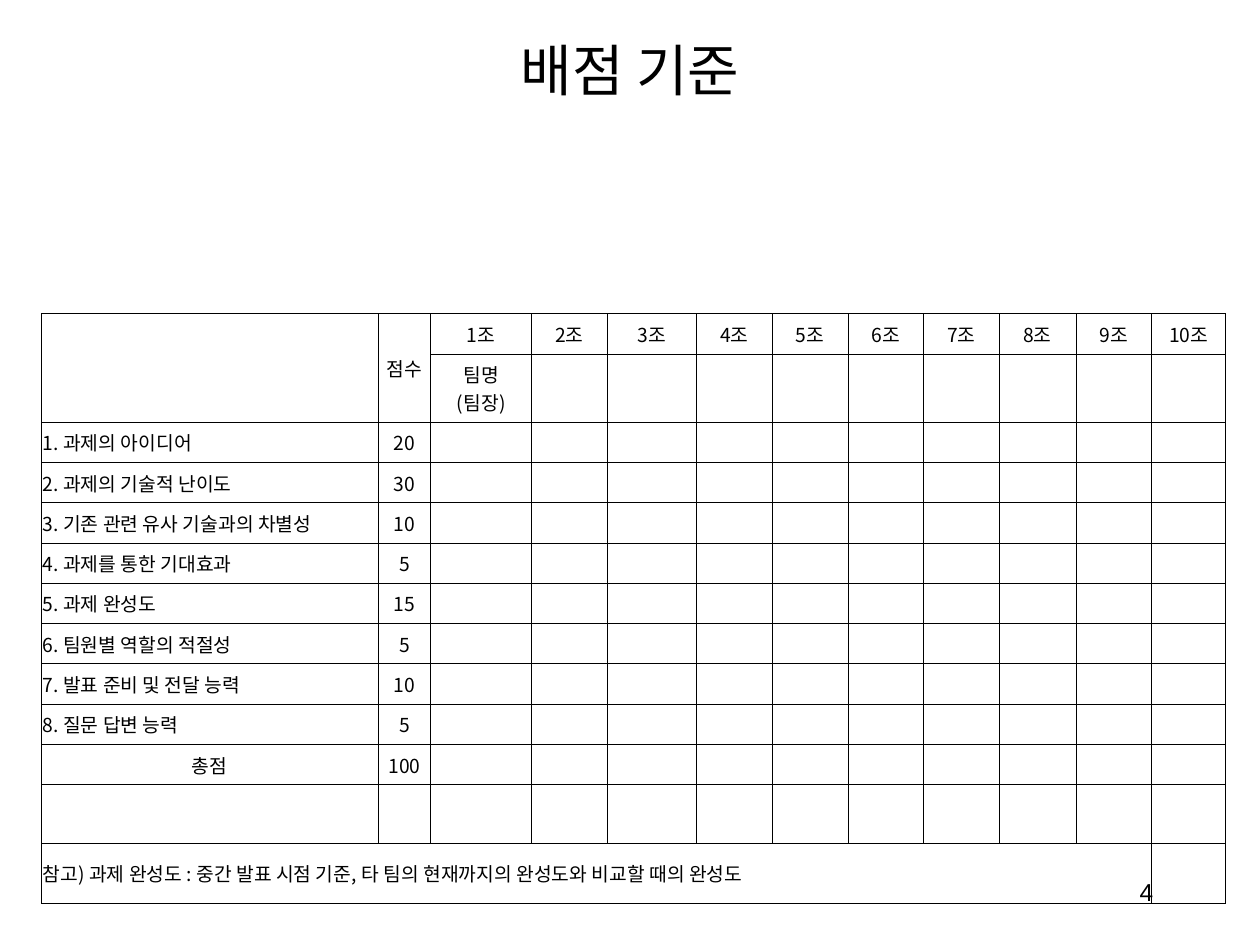
from dataclasses import dataclass

from lxml.etree import SubElement
from pptx import Presentation
from pptx.dml.color import RGBColor
from pptx.enum.text import MSO_ANCHOR as Anchor, PP_ALIGN as Align
from pptx.oxml.ns import qn
from pptx.util import Inches, Pt


@dataclass(frozen=True)
class Theme:
    """Colours, fonts and type sizes of the slide."""
    ink: str = "000000"
    korean: str = "Noto Sans CJK KR"
    latin: str = "Arial"
    title: int = 32
    number: int = 14
    body: int = 11
    rule: float = 0.45


THEME = Theme()
CRITERIA = [
    ("과제의 아이디어", 20),
    ("과제의 기술적 난이도", 30),
    ("기존 관련 유사 기술과의 차별성", 10),
    ("과제를 통한 기대효과", 5),
    ("과제 완성도", 15),
    ("팀원별 역할의 적절성", 5),
    ("발표 준비 및 전달 능력", 10),
    ("질문 답변 능력", 5),
]
NOTE = "참고) 과제 완성도 : 중간 발표 시점 기준, 타 팀의 현재까지의 완성도와 비교할 때의 완성도"
TEAMS = 10
COLUMN_WIDTHS = [2.67, 0.42, 0.8, 0.6, 0.71, 0.6, 0.6, 0.6, 0.6, 0.61, 0.6, 0.59]
ROW_HEIGHTS = [0.32, 0.54] + [0.32] * (len(CRITERIA) + 1) + [0.47] * 2


def write(frame, text, *, size=THEME.body, font=THEME.korean, align=Align.CENTER):
    """Put formatted text into a text frame."""
    paragraph = frame.paragraphs[0]
    paragraph.text = text
    paragraph.alignment = align
    for run in paragraph.runs:
        run.font.size = Pt(size)
        run.font.name = font
        run.font.color.rgb = RGBColor.from_string(THEME.ink)
        SubElement(run.font._element, qn("a:ea"), typeface=font)
    if not text:
        SubElement(paragraph._p, qn("a:endParaRPr"), sz=str(size * 100))


def add_label(slide, text, left, top, width, height, **style):
    """Add a text box centred vertically on its area."""
    box = slide.shapes.add_textbox(*map(Inches, (left, top, width, height)))
    box.text_frame.word_wrap = True
    box.text_frame.vertical_anchor = Anchor.MIDDLE
    write(box.text_frame, text, **style)


def rule_cell(cell):
    """Draw a thin line on all four sides of a cell and clear its fill."""
    properties = cell._tc.get_or_add_tcPr()
    for side in ("lnL", "lnR", "lnT", "lnB"):
        line = SubElement(properties, qn(f"a:{side}"), w=str(Pt(THEME.rule)))
        fill = SubElement(line, qn("a:solidFill"))
        SubElement(fill, qn("a:srgbClr"), val=THEME.ink)
    cell.fill.background()


def score_rows():
    """Return the texts of the score sheet, padded to full rows."""
    rows = [["", "점수"] + [f"{team}조" for team in range(1, TEAMS + 1)],
            ["", "", "팀명\v(팀장)"]]
    rows += [[f"{number}. {name}", str(points)]
             for number, (name, points) in enumerate(CRITERIA, 1)]
    rows += [["총점", str(sum(points for _, points in CRITERIA))], [], [NOTE]]
    return [row + [""] * (len(COLUMN_WIDTHS) - len(row)) for row in rows]


def add_score_sheet(slide, left, top):
    """Add the ruled table of criteria, points and teams."""
    rows = score_rows()
    table = slide.shapes.add_table(
        len(rows), len(COLUMN_WIDTHS), Inches(left), Inches(top),
        Inches(sum(COLUMN_WIDTHS)), Inches(sum(ROW_HEIGHTS))).table
    table.first_row = table.horz_banding = False
    for column, width in zip(table.columns, COLUMN_WIDTHS):
        column.width = Inches(width)
    for row, height in zip(table.rows, ROW_HEIGHTS):
        row.height = Inches(height)

    for row_index, texts in enumerate(rows):
        for column_index, text in enumerate(texts):
            cell = table.cell(row_index, column_index)
            cell.margin_left = cell.margin_right = Inches(0.01)
            cell.vertical_anchor = Anchor.MIDDLE
            is_sentence = column_index == 0 and text != "총점"
            write(cell.text_frame, text,
                  align=Align.LEFT if is_sentence else Align.CENTER)
            rule_cell(cell)

    for column_index in (0, 1):
        table.cell(0, column_index).merge(table.cell(1, column_index))
    last = len(rows) - 1
    table.cell(last, 0).merge(table.cell(last, len(COLUMN_WIDTHS) - 2))


def main():
    """Build the scoring criteria slide."""
    deck = Presentation()
    deck.slide_width, deck.slide_height = Inches(10), Inches(7.5)
    slide = deck.slides.add_slide(deck.slide_layouts[6])
    add_label(slide, "배점 기준", 0.75, 0.17, 8.5, 0.75, size=THEME.title)
    add_label(slide, "4", 7.17, 6.83, 2.08, 0.5,
              size=THEME.number, font=THEME.latin, align=Align.RIGHT)
    add_score_sheet(slide, 0.33, 2.49)
    deck.save("out.pptx")


if __name__ == "__main__":
    main()
